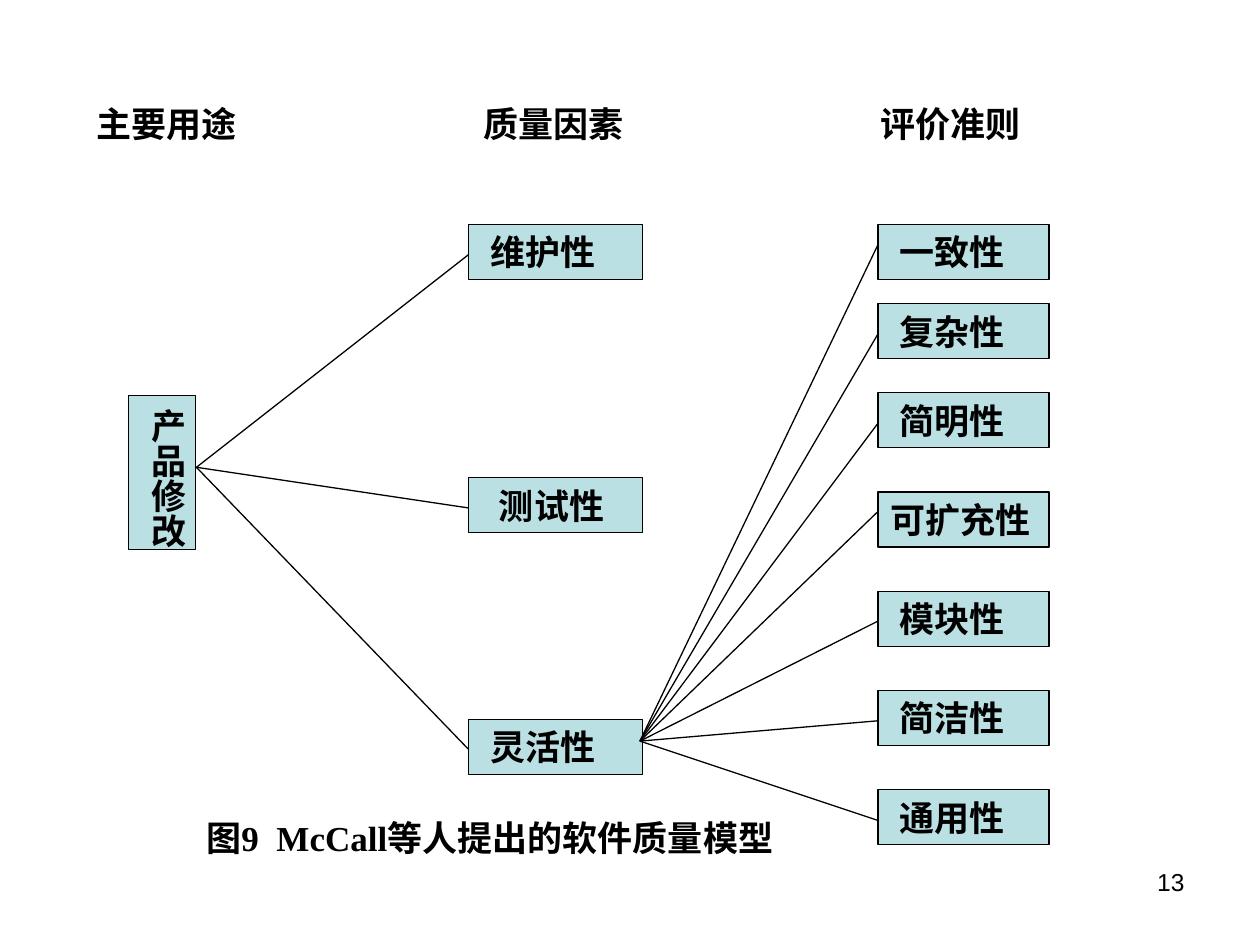
from lxml.etree import SubElement
from pptx import Presentation
from pptx.dml.color import RGBColor
from pptx.enum.shapes import MSO_CONNECTOR, MSO_SHAPE
from pptx.enum.text import MSO_ANCHOR, MSO_AUTO_SIZE, PP_ALIGN
from pptx.oxml.ns import qn
from pptx.util import Cm, Pt

COLORS = {"ink": "000000", "box": "BBE0E3", "paper": "FFFFFF"}
HEADINGS = [("主要用途", 1.7, 4.22), ("质量因素", 9.5, 4.27), ("评价准则", 17.5, 4.29)]
FACTORS = [("维护性", 4.52, 0.43), ("测试性", 9.63, 0.61), ("灵活性", 14.5, 0.43)]
CRITERIA = [
    ("一致性", 4.52, 4.93),
    ("复杂性", 6.12, 6.73),
    ("简明性", 7.92, 8.53),
    ("可扩充性", 9.92, 10.31),
    ("模块性", 11.92, 12.52),
    ("简洁性", 13.92, 14.53),
    ("通用性", 15.92, 16.54),
]
FACTOR_LEFT, CRITERION_LEFT = 9.45, 17.7
ROW_HEIGHT = 1.11
USAGE_FORK = (3.96, 9.42)
FLEXIBILITY_FORK = (12.9, 14.94)


def color(name):
    """Return the named colour."""
    return RGBColor.from_string(COLORS[name])


def write(shape, words, size=20, face="Times New Roman", bold=True,
          align=PP_ALIGN.LEFT, wrap=True, grow=True, indent=0.25):
    """Write one run of text into a shape."""
    frame = shape.text_frame
    frame.word_wrap = wrap
    frame.auto_size = MSO_AUTO_SIZE.SHAPE_TO_FIT_TEXT if grow else MSO_AUTO_SIZE.NONE
    frame.vertical_anchor = MSO_ANCHOR.TOP
    frame.margin_left, frame.margin_right = Cm(indent), Cm(0.25)
    frame.margin_top = frame.margin_bottom = Cm(0.13)
    paragraph = frame.paragraphs[0]
    paragraph.alignment = align
    run = paragraph.add_run()
    run.text = words
    run.font.name = face
    run.font.size = Pt(size)
    run.font.bold = bold
    run.font.color.rgb = color("ink")


def add_caption(slide, words):
    """Place the figure caption in the title placeholder."""
    caption = slide.shapes.title
    caption.left, caption.top = Cm(3.91), Cm(16.33)
    caption.width, caption.height = Cm(12.27), Cm(ROW_HEIGHT)
    write(caption, words, wrap=False)


def add_label(slide, words, left, top, width, height=ROW_HEIGHT, **style):
    """Add a plain text label."""
    label = slide.shapes.add_textbox(Cm(left), Cm(top), Cm(width), Cm(height))
    write(label, words, **style)


def add_box(slide, words, left, top, width, height=ROW_HEIGHT, **style):
    """Add an outlined, filled box and return it."""
    box = slide.shapes.add_shape(
        MSO_SHAPE.RECTANGLE, Cm(left), Cm(top), Cm(width), Cm(height))
    box.shadow.inherit = False
    box.fill.solid()
    box.fill.fore_color.rgb = color("box")
    box.line.color.rgb = color("ink")
    box.line.width = Pt(0.75)
    write(box, words, **style)
    return box


def add_usage(slide, words):
    """Add the upright box for the product usage."""
    usage = add_box(slide, words, 2.59, 7.98, 1.35, 3.1, wrap=False)
    frame = usage.text_frame
    frame.margin_left = frame.margin_right = Cm(0.13)
    frame.margin_top = frame.margin_bottom = Cm(0.25)
    frame._txBody.bodyPr.set("vert", "eaVert")


def add_branch(slide, fork, left, level):
    """Draw a thin line from a fork to the edge of a box."""
    branch = slide.shapes.add_connector(
        MSO_CONNECTOR.STRAIGHT, Cm(fork[0]), Cm(fork[1]), Cm(left), Cm(level))
    branch.line.color.rgb = color("ink")
    branch.line.width = Pt(0.75)
    SubElement(branch._element.spPr, qn("a:effectLst"))


def main():
    """Build the quality model slide."""
    deck = Presentation()
    deck.slide_width, deck.slide_height = Cm(25.4), Cm(19.05)
    slide = deck.slides.add_slide(deck.slide_layouts[5])
    slide.background.fill.solid()
    slide.background.fill.fore_color.rgb = color("paper")

    add_caption(slide, "图9  McCall等人提出的软件质量模型")
    for heading, left, width in HEADINGS:
        add_label(slide, heading, left, 1.93, width)
    add_usage(slide, "产品修改")
    for factor, top, indent in FACTORS:
        add_box(slide, factor, FACTOR_LEFT, top, 3.51, indent=indent)
        add_branch(slide, USAGE_FORK, FACTOR_LEFT, top + 0.61)
    for criterion, top, level in CRITERIA:
        indent = 0.43 if len(criterion) == 3 else 0.25
        add_box(slide, criterion, CRITERION_LEFT, top, 3.45, indent=indent)
        add_branch(slide, FLEXIBILITY_FORK, CRITERION_LEFT, level)
    add_label(slide, "13", 18.2, 17.35, 5.93, 1.32, size=14, face="Arial",
              bold=False, align=PP_ALIGN.RIGHT, grow=False)
    deck.save("out.pptx")


if __name__ == "__main__":
    main()
